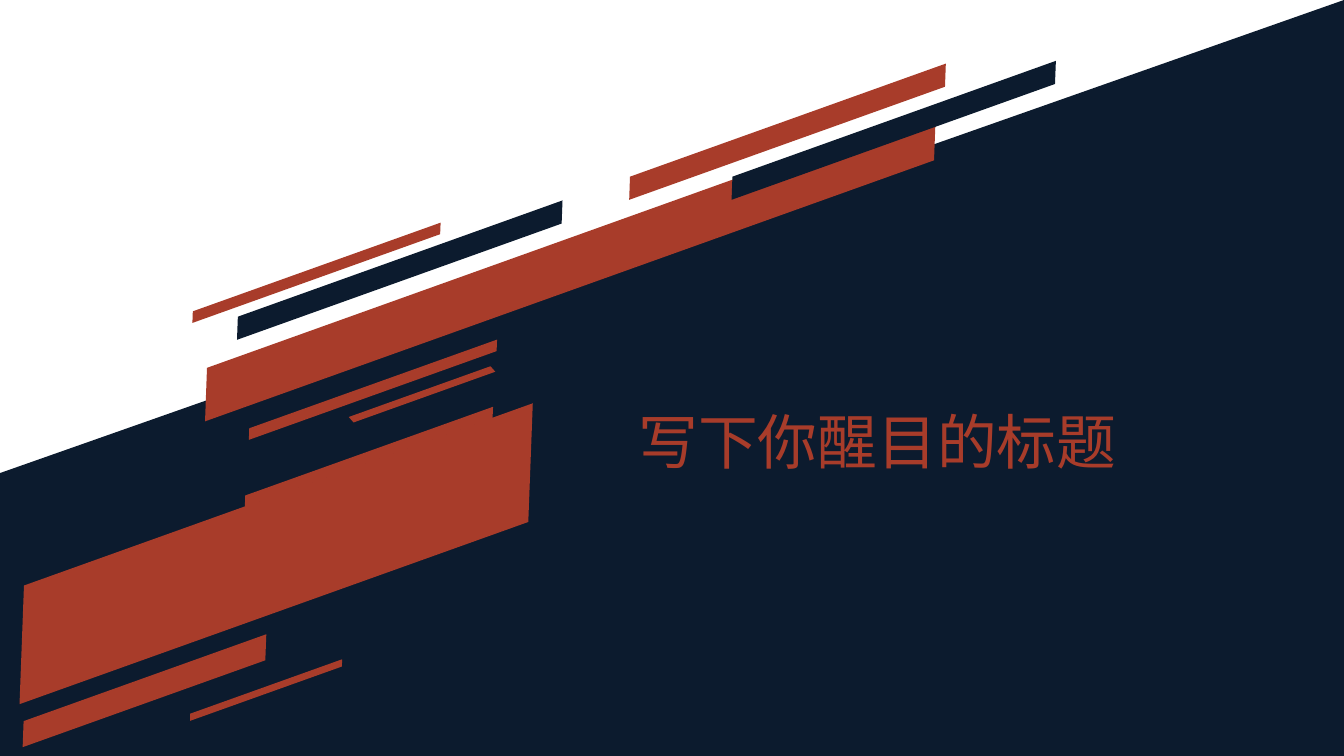
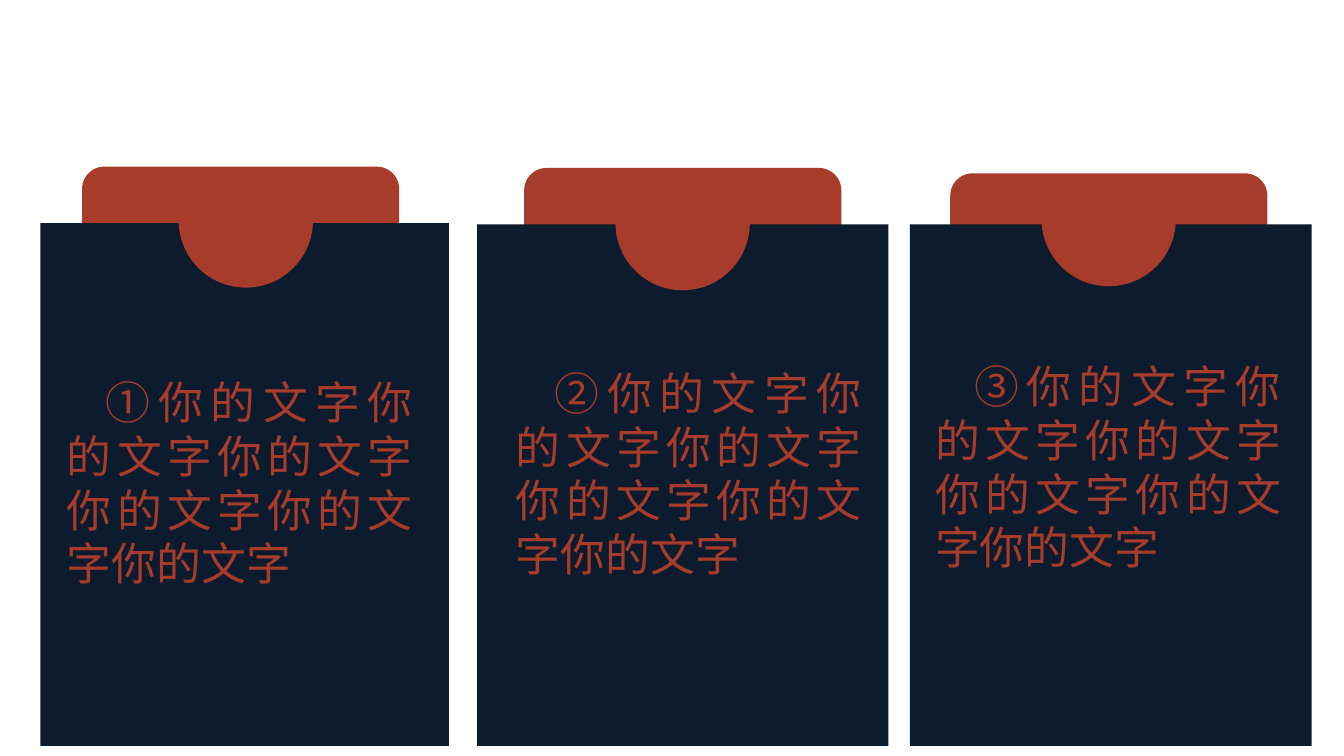
from pptx import Presentation
from pptx.dml.color import RGBColor
from pptx.enum.shapes import MSO_SHAPE
from pptx.enum.text import MSO_ANCHOR, MSO_AUTO_SIZE, PP_ALIGN
from pptx.util import Inches, Pt

RECTANGLE = MSO_SHAPE.RECTANGLE
TRIANGLE = MSO_SHAPE.RIGHT_TRIANGLE
STRIPE = MSO_SHAPE.PARALLELOGRAM
CARD = MSO_SHAPE.FLOWCHART_ALTERNATE_PROCESS
CHORD = MSO_SHAPE.CHORD
TOP = MSO_ANCHOR.TOP
FIT_SHAPE = MSO_AUTO_SIZE.SHAPE_TO_FIT_TEXT
LEFT = PP_ALIGN.LEFT
JUSTIFY = PP_ALIGN.JUSTIFY

NAVY = "0C1B2E"
RUST = "A83C2A"
TITLE_FONT = "Calibri"
BODY_FONT = "Noto Sans CJK SC"
TITLE_ONLY_LAYOUT = 5
BLANK_LAYOUT = 6
SLIDE_WIDTH = 10
SLIDE_HEIGHT = SLIDE_WIDTH * 9 / 16
SLOPE_HEIGHT = 3.52
STRIPE_ANGLE = 340.3
STRIPE_SLANT = 0.401

STRIPES = [
    (1.29, 1.78, 5.91, 0.37, RUST),
    (-0.12, 3.71, 4.35, 0.82, RUST),
    (1.66, 1.93, 2.63, 0.16, NAVY),
    (1.36, 1.99, 1.99, 0.08, RUST),
    (5.34, 0.89, 2.62, 0.16, NAVY),
    (4.58, 0.9, 2.56, 0.16, RUST),
    (0.08, 5.05, 1.99, 0.18, RUST),
    (1.37, 5.11, 1.22, 0.05, RUST),
    (1.75, 3.36, 1.99, 0.08, RUST),
    (1.78, 2.86, 1.99, 0.08, RUST),
]
FLIPPED_STRIPE = (2.57, 2.91, 1.14, 0.05, RUST)

POCKETS = [
    ("③", (6.77, 1.67, 2.99, 3.88), (7.07, 1.29), (7.75, 1.13), (6.86, 2.62)),
    ("①", (0.3, 1.66, 3.04, 3.89), (0.61, 1.24), (1.33, 1.14), (0.4, 2.74)),
    ("②", (3.55, 1.67, 3.06, 3.88), (3.9, 1.25), (4.58, 1.16), (3.74, 2.67)),
]
POCKET_TEXT = "你的文字" * 6


def color(value):
    """Turn a hex string into a colour."""
    return RGBColor.from_string(value)


def add_filled(slide, kind, left, top, width, height, fill, rotation=0):
    """Add a flat preset shape without outline or shadow."""
    shape = slide.shapes.add_shape(
        kind, Inches(left), Inches(top), Inches(width), Inches(height))
    shape.shadow.inherit = False
    shape.fill.solid()
    shape.fill.fore_color.rgb = color(fill)
    shape.line.fill.background()
    shape.rotation = rotation
    return shape


def add_quarter_turned(slide, kind, left, top, width, height, fill, rotation):
    """Add a shape turned by 90 or 270 degrees that covers the given box."""
    offset = (width - height) / 2
    return add_filled(slide, kind, left + offset, top - offset,
                      height, width, fill, rotation)


def add_stripe(slide, left, top, width, height, fill):
    """Add one slanted stripe."""
    stripe = add_filled(slide, STRIPE, left, top, width, height, fill, STRIPE_ANGLE)
    stripe.adjustments[0] = STRIPE_SLANT
    return stripe


def format_text(shape, text, font_name, size, alignment, wrap):
    """Write one rust-coloured paragraph into a shape and return it."""
    frame = shape.text_frame
    frame.text = text
    frame.word_wrap = wrap
    frame.auto_size = FIT_SHAPE
    frame.vertical_anchor = TOP
    paragraph = frame.paragraphs[0]
    paragraph.alignment = alignment
    font = paragraph.runs[0].font
    font.name = font_name
    font.size = Pt(size)
    font.color.rgb = color(RUST)
    return paragraph


def add_backdrop(slide, top, height):
    """Add the navy floor and the slope that rises above it."""
    add_filled(slide, RECTANGLE, 0, top, SLIDE_WIDTH, height, NAVY)
    add_quarter_turned(slide, TRIANGLE, 0, 0, SLIDE_WIDTH, top, NAVY, 270)


def place_title(slide, text, left, top, width, height):
    """Move the title placeholder to its box, in front of the other shapes."""
    title = slide.shapes.title
    title.left, title.top = Inches(left), Inches(top)
    title.width, title.height = Inches(width), Inches(height)
    format_text(title, text, TITLE_FONT, 32, LEFT, False)
    slide.shapes._spTree.append(title._element)


def add_pocket(slide, number, pocket, card, notch, text):
    """Add a card in a notched pocket with its numbered text."""
    add_quarter_turned(slide, CARD, *card, 2.36, 1, RUST, 90)
    add_filled(slide, RECTANGLE, *pocket, NAVY)
    half_disc = add_filled(slide, CHORD, *notch, 1, 1, RUST, 270)
    half_disc.adjustments[0] = 53.693
    half_disc.adjustments[1] = 162
    left, top = text
    box = slide.shapes.add_textbox(
        Inches(left), Inches(top), Inches(2.77), Inches(2.12))
    paragraph = format_text(box, number + POCKET_TEXT, BODY_FONT, 24, JUSTIFY, True)
    paragraph._p.get_or_add_pPr().set("indent", str(Inches(0.29)))


def build_cover(presentation):
    """Build the cover slide."""
    slide = presentation.slides.add_slide(
        presentation.slide_layouts[TITLE_ONLY_LAYOUT])
    add_backdrop(slide, SLOPE_HEIGHT, SLIDE_HEIGHT - SLOPE_HEIGHT)
    for stripe in STRIPES:
        add_stripe(slide, *stripe)
    flipped = add_stripe(slide, *FLIPPED_STRIPE)
    flipped._element.spPr.get_or_add_xfrm().set("flipV", "1")
    place_title(slide, "写下你醒目的标题", 4.65, 2.96, 3.79, 0.64)


def build_pockets(presentation):
    """Build the slide with three pockets."""
    slide = presentation.slides.add_slide(presentation.slide_layouts[BLANK_LAYOUT])
    for pocket in POCKETS:
        add_pocket(slide, *pocket)


def main():
    """Build and save the presentation."""
    presentation = Presentation()
    presentation.slide_width = Inches(SLIDE_WIDTH)
    presentation.slide_height = Inches(SLIDE_HEIGHT)
    build_cover(presentation)
    build_pockets(presentation)
    presentation.save("out.pptx")


main()
